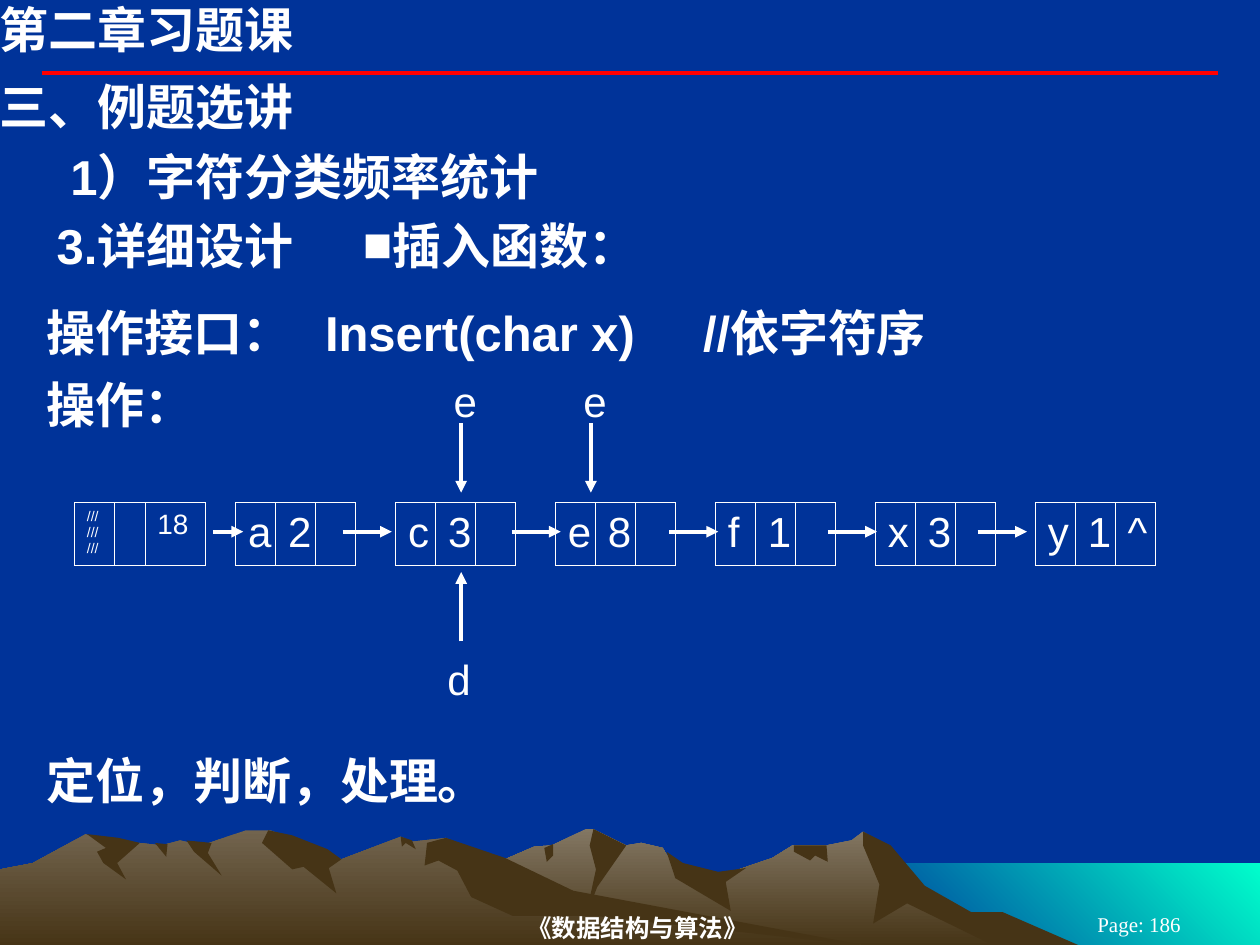
from lxml import etree
from pptx import Presentation, util as u
from pptx.dml import color
from pptx.enum import shapes, text
from pptx.oxml import ns

COLORS = {
    "page": "003399", "ink": "FFFFFF", "rule": "FF0000", "sea": "00FFCC",
    "shade": "463416", "far_ridge": "837763", "near_ridge": "72644E",
}

# Linked list: one (letter, count) per node
NODES = [("a", "2"), ("c", "3"), ("e", "8"), ("f", "1"), ("x", "3"), ("y", "1")]
HEAD_WIDTHS = [0.32, 0.24, 0.48]
HEAD_GAP = 0.24
NODE_CELL = 7.3 / 23  # six nodes of three cells and five gaps share 7.3 inches
ROW_HEIGHT = 0.5

# Mountains: skylines run left to right and are closed along the ground
GROUND = 0.93
FAR_SKYLINE = [
    (2.58, 0.93), (2.77, 0.81), (3.27, 0.51), (3.94, 0.27), (4.24, 0.14), (4.38, 0.13),
    (4.65, 0), (4.71, 0), (4.97, 0.13), (5.09, 0.11), (5.26, 0.15), (5.36, 0.32),
    (5.66, 0.39), (6.13, 0.23), (6.29, 0.13), (6.56, 0.13), (6.76, 0.09), (6.85, 0.02),
    (7.02, 0.13), (7.23, 0.4), (7.64, 0.65), (8.21, 0.93)]
NEAR_SKYLINE = [
    (0, 0.32), (0.26, 0.27), (0.68, 0.04), (0.94, 0.13), (1.11, 0.11), (1.28, 0.13),
    (1.43, 0.09), (1.6, 0.13), (1.95, 0.01), (2.15, 0.01), (2.71, 0.24), (3.18, 0.06),
    (3.27, 0.1), (3.54, 0.07), (4.32, 0.54), (6.9, 0.93)]
FAR_SHADES = {
    "east slope": [(6.85, 0.02), (7.07, 0.13), (7.34, 0.45), (7.71, 0.66), (7.96, 0.66),
                   (8.58, 0.93), (7.92, 0.94), (7.2, 0.59), (6.93, 0.75), (6.98, 0.44),
                   (6.85, 0.13)],
    "main peak": [(4.71, 0), (4.97, 0.13), (4.74, 0.46), (4.65, 0.69), (4.73, 0.32),
                  (4.68, 0.13)],
    "saddle": [(5.29, 0.18), (5.42, 0.27), (5.7, 0.34), (5.92, 0.31), (5.76, 0.42),
               (5.8, 0.65), (5.36, 0.39)],
    "east notch": [(6.3, 0.13), (6.56, 0.13), (6.57, 0.26), (6.47, 0.21), (6.43, 0.25),
                   (6.3, 0.18)],
    "west notch": [(4.32, 0.15), (4.39, 0.12), (4.39, 0.21), (4.34, 0.26)],
}
NEAR_SHADES = {
    "main peak": [(2.13, 0.01), (2.32, 0.05), (2.6, 0.16), (2.71, 0.24), (2.61, 0.31),
                  (2.67, 0.51), (2.41, 0.3), (2.32, 0.32), (2.08, 0.11)],
    "east slope": [(3.39, 0.11), (3.54, 0.07), (4.01, 0.23), (4.55, 0.49), (6.9, 0.93),
                   (4.72, 0.69), (4.07, 0.69), (3.74, 0.54), (3.63, 0.33), (3.48, 0.25),
                   (3.37, 0.29)],
    "east notch": [(3.18, 0.06), (3.27, 0.09), (3.3, 0.16), (3.22, 0.11), (3.19, 0.14)],
    "gully": [(1.48, 0.09), (1.68, 0.11), (1.65, 0.19), (1.76, 0.37), (1.54, 0.18)],
    "small notch": [(1.23, 0.11), (1.33, 0.12), (1.32, 0.22)],
    "west peak": [(0.69, 0.04), (0.94, 0.07), (1.11, 0.11), (0.93, 0.27), (1, 0.4),
                  (0.82, 0.27), (0.77, 0.18), (0.84, 0.15)],
}


def rgb(name):
    return color.RGBColor.from_string(COLORS[name])


def style_font(font, size, bold=False, face="Arial"):
    font.size, font.bold, font.name = u.Pt(size), bold, face
    font.color.rgb = rgb("ink")


def add_text(page, words, left, top, width, height, size=28, bold=True, face="Arial",
             align=None, insets=(0.02, 0.01, 0.02, 0.01), middle=False, bullet=None, tabs=()):
    box = page.shapes.add_textbox(*map(u.Inches, (left, top, width, height)))
    frame = box.text_frame
    frame.word_wrap = True
    frame.auto_size = text.MSO_AUTO_SIZE.NONE if middle else text.MSO_AUTO_SIZE.SHAPE_TO_FIT_TEXT
    frame.vertical_anchor = text.MSO_ANCHOR.MIDDLE if middle else text.MSO_ANCHOR.TOP
    (frame.margin_left, frame.margin_top,
     frame.margin_right, frame.margin_bottom) = map(u.Inches, insets)
    para = frame.paragraphs[0]
    para.alignment = align
    props = para._p.get_or_add_pPr()
    if bullet:
        props.set("marL", str(u.Inches(0.48)))
        props.set("indent", str(u.Inches(-0.22)))
        etree.SubElement(props, ns.qn("a:buFont"), typeface=face)
        etree.SubElement(props, ns.qn("a:buChar"), char=bullet)
    if tabs:
        stops = etree.SubElement(props, ns.qn("a:tabLst"))
        for stop in tabs:
            etree.SubElement(stops, ns.qn("a:tab"), pos=str(u.Inches(stop)), algn="l")
    span = para.add_run()
    span.text = words
    style_font(span.font, size, bold, face)


def add_line(page, start, end, name="ink", arrow=False):
    line = page.shapes.add_connector(shapes.MSO_CONNECTOR.STRAIGHT, *map(u.Inches, start + end))
    line.line.color.rgb = rgb(name)
    line.line.width = u.Pt(2.25)
    if arrow:
        etree.SubElement(line.line._get_or_add_ln(), ns.qn("a:tailEnd"), type="triangle")
    etree.SubElement(line._element.spPr, ns.qn("a:effectLst"))


def add_outline(page, points, left, top, name, fade_to=None, angle=90):
    first, *others = [(u.Inches(x), u.Inches(y)) for x, y in points]
    builder = page.shapes.build_freeform(*first)
    builder.add_line_segments(others, close=True)
    shape = builder.convert_to_shape(u.Inches(left), u.Inches(top))
    shape.shadow.inherit = False
    shape.line.fill.background()
    if fade_to:
        shape.fill.gradient()
        shape.fill.gradient_angle = 360 - angle
        for stop, shade in zip(shape.fill.gradient_stops, (name, fade_to)):
            stop.color.rgb = rgb(shade)
    else:
        shape.fill.solid()
        shape.fill.fore_color.rgb = rgb(name)


def set_borders(cell, sides):
    props = cell._tc.get_or_add_tcPr()
    for place, side in enumerate("LRTB"):
        edge = etree.Element(ns.qn(f"a:ln{side}"), w=str(u.Pt(0.45)))
        props.insert(place, edge)
        if side in sides:
            fill = etree.SubElement(edge, ns.qn("a:solidFill"))
            etree.SubElement(fill, ns.qn("a:srgbClr"), val=COLORS["ink"])
        else:
            etree.SubElement(edge, ns.qn("a:noFill"))


def add_row(page, left, top, cells, widths):
    """One table row; each cell is (words, size, bordered sides)."""
    table = page.shapes.add_table(1, len(cells), u.Inches(left), u.Inches(top),
                                  u.Inches(sum(widths)), u.Inches(ROW_HEIGHT)).table
    table.first_row = table.horz_banding = False
    for index, ((words, size, sides), width) in enumerate(zip(cells, widths)):
        table.columns[index].width = u.Inches(width)
        cell = table.cell(0, index)
        cell.fill.background()
        set_borders(cell, sides)
        if words:
            cell.text = words
            style_font(cell.text_frame.paragraphs[0].runs[0].font, size)


def draw_sea(page, left, top, width, height):
    corners = [(0, 0), (width, 0), (width, height), (0, height)]
    add_outline(page, corners, left, top, "sea", "page", angle=135)


def draw_mountains(page, left, top):
    for name, skyline, shades in (("far_ridge", FAR_SKYLINE, FAR_SHADES),
                                  ("near_ridge", NEAR_SKYLINE, NEAR_SHADES)):
        ground = [(skyline[-1][0], GROUND), (skyline[0][0], GROUND)]
        add_outline(page, skyline + ground, left, top, name, "shade")
        for points in shades.values():
            add_outline(page, points, left, top, "shade")


def draw_footer(page, left, top):
    look = dict(face="Times New Roman", align=text.PP_ALIGN.CENTER, middle=True)
    add_text(page, "《数据结构与算法》", left, top, 6.06, 0.28, size=14,
             insets=(0, 0.01, 0.1, 0.01), **look)
    add_text(page, "Page: 186", left + 6.17, top + 0.03, 1.58, 0.17, size=12, bold=False,
             insets=(0.1, 0.05, 0.1, 0.05), **look)


def draw_headings(page, left, top, width):
    for words, offset in (("第二章习题课", 0), ("三、例题选讲", 0.61)):
        add_text(page, words, left, top + offset, width, 0.47, insets=(0, 0, 0, 0))
    # Indented lines: words, offset from the top, indent, tab stops
    for words, offset, indent, tabs in (
            ("1）字符分类频率统计", 1.15, 0.56, ()),
            ("3.详细设计", 1.7, 0.45, ()),
            ("操作接口：\tInsert(char x)\t//依字符序", 2.39, 0.37, (2.21, 5.21)),
            ("操作：", 2.96, 0.37, ()),
            ("定位，判断，处理。", 5.95, 0.37, ())):
        add_text(page, words, left, top + offset, width, 0.49,
                 insets=(indent, 0.01, 0.02, 0.01), tabs=tabs)
    add_text(page, "插入函数：", left + 2.6, top + 1.7, 2.95, 0.49, bullet="■")


def draw_nodes(page, left, top):
    """The head node, then three cells for each node, with open gaps between."""
    cells = [("/////////", 8, "LRTB"), ("", 0, "LRTB"), ("18", 16, "LRTB")]
    widths = list(HEAD_WIDTHS)
    for node in NODES:
        link = "^" if node == NODES[-1] else ""
        gap = HEAD_GAP if node == NODES[0] else NODE_CELL
        cells += [("", 0, "LR")] + [(words, 24, "LRTB") for words in (*node, link)]
        widths += [gap] + [NODE_CELL] * 3
    add_row(page, left, top, cells, widths)


def draw_links(page, left, middle):
    add_line(page, (left + 1.1, middle), (left + 1.34, middle), arrow=True)
    for start in (2.13, 3.47, 4.72, 5.98, 7.17):
        add_line(page, (left + start, middle), (left + start + 0.39, middle), arrow=True)


def draw_pointer(page, label, x, top, label_shift, above=True):
    """A labelled arrow that points at the row of nodes from above or below."""
    if above:
        label_top, start, end = top - 1.03, top - 0.63, top - 0.08
    else:
        bottom = top + ROW_HEIGHT
        label_top, start, end = bottom + 0.68, bottom + 0.6, bottom + 0.05
    add_row(page, x - label_shift, label_top, [(label, 24, "")], [0.45])
    add_line(page, (x, start), (x, end), arrow=True)


def draw_linked_list(page, left, top):
    draw_nodes(page, left, top)
    draw_links(page, left, top + 0.23)
    draw_pointer(page, "e", left + 4.1, top, 0.16)
    draw_pointer(page, "d", left + 3.07, top, 0.21, above=False)
    draw_pointer(page, "e", left + 3.07, top, 0.16)


def main():
    deck = Presentation()
    deck.slide_width, deck.slide_height = u.Inches(10), u.Inches(7.5)
    page = deck.slides.add_slide(deck.slide_layouts[6])
    page.background.fill.solid()
    page.background.fill.fore_color.rgb = rgb("page")
    draw_sea(page, 6.83, 6.85, 3.17, 0.67)
    draw_mountains(page, 0, 6.58)
    add_line(page, (0.33, 0.58), (9.67, 0.58), "rule")
    draw_footer(page, 2.08, 7.22)
    draw_headings(page, 0, 0, 10)
    draw_linked_list(page, 0.59, 3.99)
    deck.save("out.pptx")


if __name__ == "__main__":
    main()
